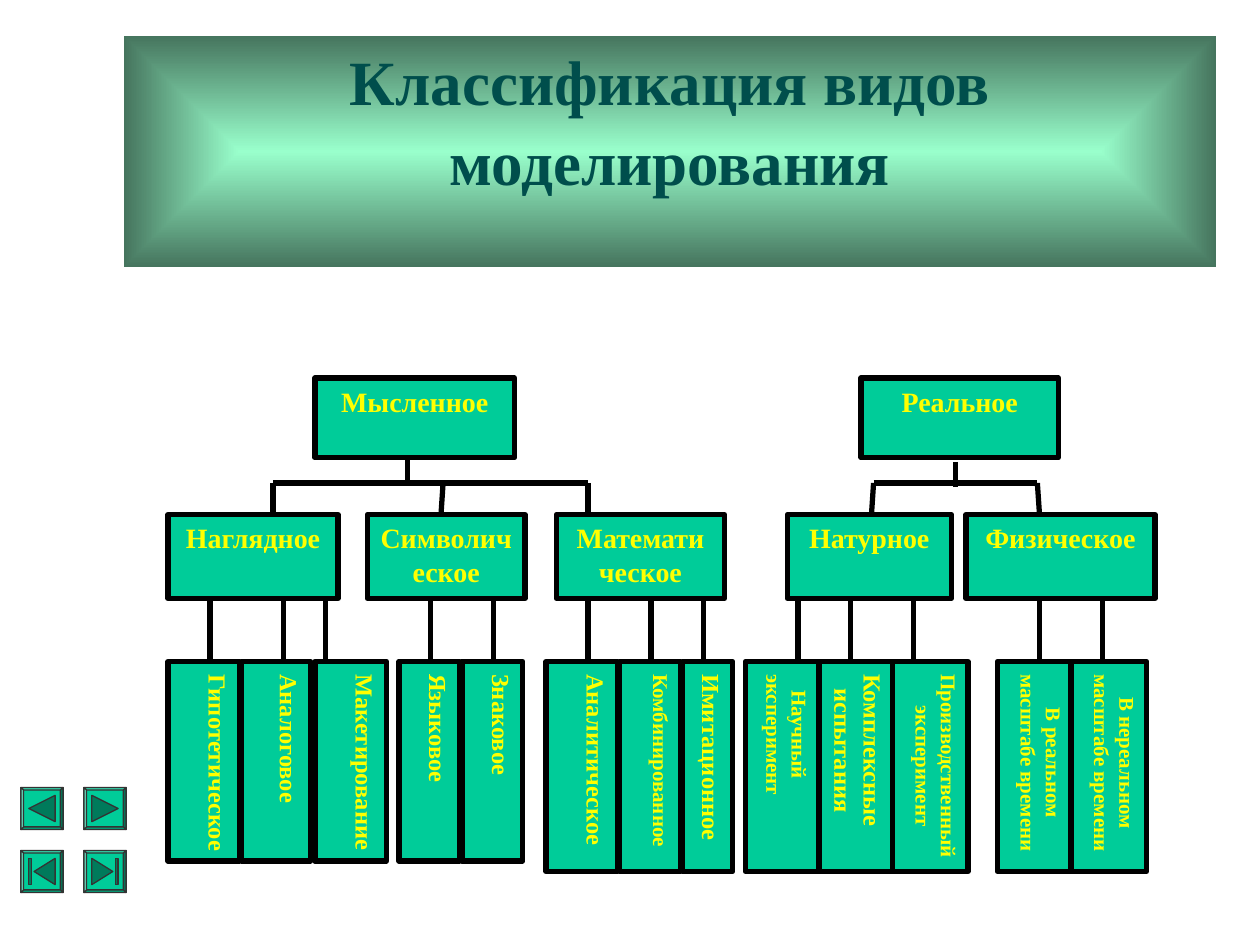
import copy

from lxml import etree
from pptx import Presentation
from pptx import util as u
from pptx.dml import color
from pptx.enum import shapes, text
from pptx.oxml import ns

PX = 7620
C = {"box": "00CC99", "line": "000000", "label": "FFFF00", "title": "004E4C",
     "glow": "99FFCC", "edge": "46755E", "button": "333333"}
BASE = {"name": "Times New Roman", "bold": True}

THOUGHT = {
    "root": ("Мысленное", 140, 190), "stem": (228, 76), "bar": (100, 400),
    "leaf_h": [190, 190, 200],
    "kinds": [
        ("Наглядное", 0, 162, (100, 100),
         [("Гипотетическое", 0, 68, 14, 40), ("Аналоговое", 70, 66, 14, 110),
          ("Макетирование", 140, 68, 14, 150)]),
        ("Символическое", 190, 150, (262, 260),
         [("Языковое", 220, 58, 14, 250), ("Знаковое", 280, 58, 14, 310)]),
        ("Математическое", 370, 160, (400, 400),
         [("Аналитическое", 360, 68, 14, 400), ("Комбинированное", 430, 58, 12, 460),
          ("Имитационное", 490, 48, 14, 510)]),
    ],
}
REAL = {
    "root": ("Реальное", 110, 188), "stem": (200, 80), "bar": (122, 278),
    "leaf_h": [200, 200],
    "kinds": [
        ("Натурное", 40, 156, (122, 120),
         [("Научный эксперимент", 0, 70, 12, 50), ("Комплексные\nиспытания", 70, 72, 14, 100),
          ("Производственный\nэксперимент", 140, 72, 12, 160)]),
        ("Физическое", 210, 180, (278, 280),
         [("В реальном масштабе времени", 240, 72, 12, 280),
          ("В нереальном масштабе времени", 310, 72, 12, 340)]),
    ],
}

FRAME = [
    ("norm", [(0, 0), (16, 0), (16, 16), (0, 16)]),
    ("lightenLess", [(0, 0), (16, 0), (15, 1), (1, 1)]),
    ("darken", [(16, 0), (16, 16), (15, 15), (15, 1)]),
    ("darkenLess", [(16, 16), (0, 16), (1, 15), (15, 15)]),
    ("lighten", [(0, 16), (0, 0), (1, 1), (1, 15)]),
]
ICONS = [
    [[(3, 8), (13, 3), (13, 13)]],
    [[(3, 3), (13, 8), (3, 13)]],
    [[(5, 8), (13, 3), (13, 13)], [(3, 3), (4, 3), (4, 13), (3, 13)]],
    [[(11, 8), (3, 13), (3, 3)], [(12, 3), (12, 13), (13, 13), (13, 3)]],
]


def rgb(key):
    return color.RGBColor.from_string(C[key])


def put(obj, values):
    for name, value in values.items():
        setattr(obj, name, value)


def paint(sp, line, width):
    sp.shadow.inherit = False
    sp.fill.solid()
    sp.fill.fore_color.rgb = rgb("box")
    sp.line.color.rgb = rgb(line)
    sp.line.width = u.Pt(width)


def write(tf, words, size, key, mx, my, wrap=True):
    put(tf, {"text": words, "word_wrap": wrap, "vertical_anchor": text.MSO_ANCHOR.TOP,
             "margin_left": mx * PX, "margin_right": mx * PX,
             "margin_top": my * PX, "margin_bottom": my * PX})
    for p in tf.paragraphs:
        p.alignment = text.PP_ALIGN.CENTER
        for r in p.runs:
            put(r.font, {**BASE, "size": u.Pt(size)})
            r.font.color.rgb = rgb(key)


def title(s, x, y, w, h):
    sp = s.shapes.title
    put(sp, {"left": x * PX, "top": y * PX, "width": w * PX, "height": h * PX})
    sp.fill.gradient()
    for stop, key in zip(sp.fill.gradient_stops, ("glow", "edge")):
        stop.color.rgb = rgb(key)
    grad = sp.fill.gradient_stops[0].color and sp.element.spPr.find(ns.qn("a:gradFill"))
    grad.remove(grad.find(ns.qn("a:lin")))
    focus = etree.SubElement(grad, ns.qn("a:path"), path="rect")
    etree.SubElement(focus, ns.qn("a:fillToRect"), l="50000", t="50000", r="50000", b="50000")
    tf = sp.text_frame
    write(tf, "Классификация видов моделирования", 36, "title", 12, 3)
    put(tf.paragraphs[0], {"line_spacing": 1.05, "space_before": u.Pt(0)})


def box(s, words, x, y, w, h, size=16, vertical=False):
    sp = s.shapes.add_shape(shapes.MSO_SHAPE.RECTANGLE, x * PX, y * PX, w * PX, h * PX)
    paint(sp, "line", 3)
    mx, my = (6, 12) if vertical else (12, 6)
    write(sp.text_frame, words, size, "label", mx, my, not vertical or h == 200)
    if vertical:
        sp.text_frame._txBody.bodyPr.set("vert", "eaVert")


def line(s, x1, y1, x2, y2):
    ln = s.shapes.add_connector(shapes.MSO_CONNECTOR.STRAIGHT,
                                x1 * PX, y1 * PX, x2 * PX, y2 * PX)
    ln.line.color.rgb = rgb("line")
    ln.line.width = u.Pt(3)
    etree.SubElement(ln._element.spPr, ns.qn("a:effectLst"))


def tree(s, x, y, data):
    bar_y, kind_y, kind_h, leaf_y = y + 100, y + 130, 80, y + 270
    name, dx, w = data["root"]
    box(s, name, x + dx, y, w, 76)
    for (name, dx, w, _, leaves), h in zip(data["kinds"], data["leaf_h"]):
        box(s, name, x + dx, kind_y, w, kind_h)
        for leaf, lx, lw, size, _ in leaves:
            box(s, leaf, x + lx, leaf_y, lw, h, size, True)
    left, right = data["bar"]
    line(s, x + left, bar_y, x + right, bar_y)
    sx, sy = data["stem"]
    line(s, x + sx, y + sy, x + sx, y + sy + 24)
    for _, _, _, (top, foot), leaves in data["kinds"]:
        line(s, x + top, bar_y, x + foot, kind_y)
        for *_, lx in leaves:
            line(s, x + lx, kind_y + kind_h, x + lx, leaf_y)


def button(s, x, y, size, icon):
    faces = FRAME + [("darken", pts) for pts in icon]
    fb = s.shapes.build_freeform(0, 0, size * PX / 16)
    for i, (_, pts) in enumerate(faces):
        if i:
            fb.move_to(*pts[0])
        fb.add_line_segments(pts[1:], close=True)
    sp = fb.convert_to_shape(x * PX, y * PX)
    paint(sp, "button", 0.75)
    whole = sp._element.spPr.find(".//" + ns.qn("a:path"))
    steps = list(whole)
    for step in steps:
        whole.remove(step)
    starts = [i for i, st in enumerate(steps) if st.tag == ns.qn("a:moveTo")]
    for (shade, _), a, b in zip(faces, starts, starts[1:] + [len(steps)]):
        part = copy.deepcopy(whole)
        part.set("fill", shade)
        part.extend(steps[a:b])
        whole.getparent().append(part)
    whole.getparent().remove(whole)


def navigation(s, x, y, size, pitch):
    for i, icon in enumerate(ICONS):
        row, col = divmod(i, 2)
        button(s, x + col * pitch, y + row * pitch, size, icon)


def main():
    prs = Presentation()
    put(prs, {"slide_width": 1200 * PX, "slide_height": 900 * PX})
    s = prs.slides.add_slide(prs.slide_layouts[5])
    title(s, 118, 34, 1040, 220)
    tree(s, 160, 360, THOUGHT)
    tree(s, 710, 360, REAL)
    navigation(s, 20, 750, 40, 60)
    prs.save("out.pptx")


if __name__ == "__main__":
    main()
